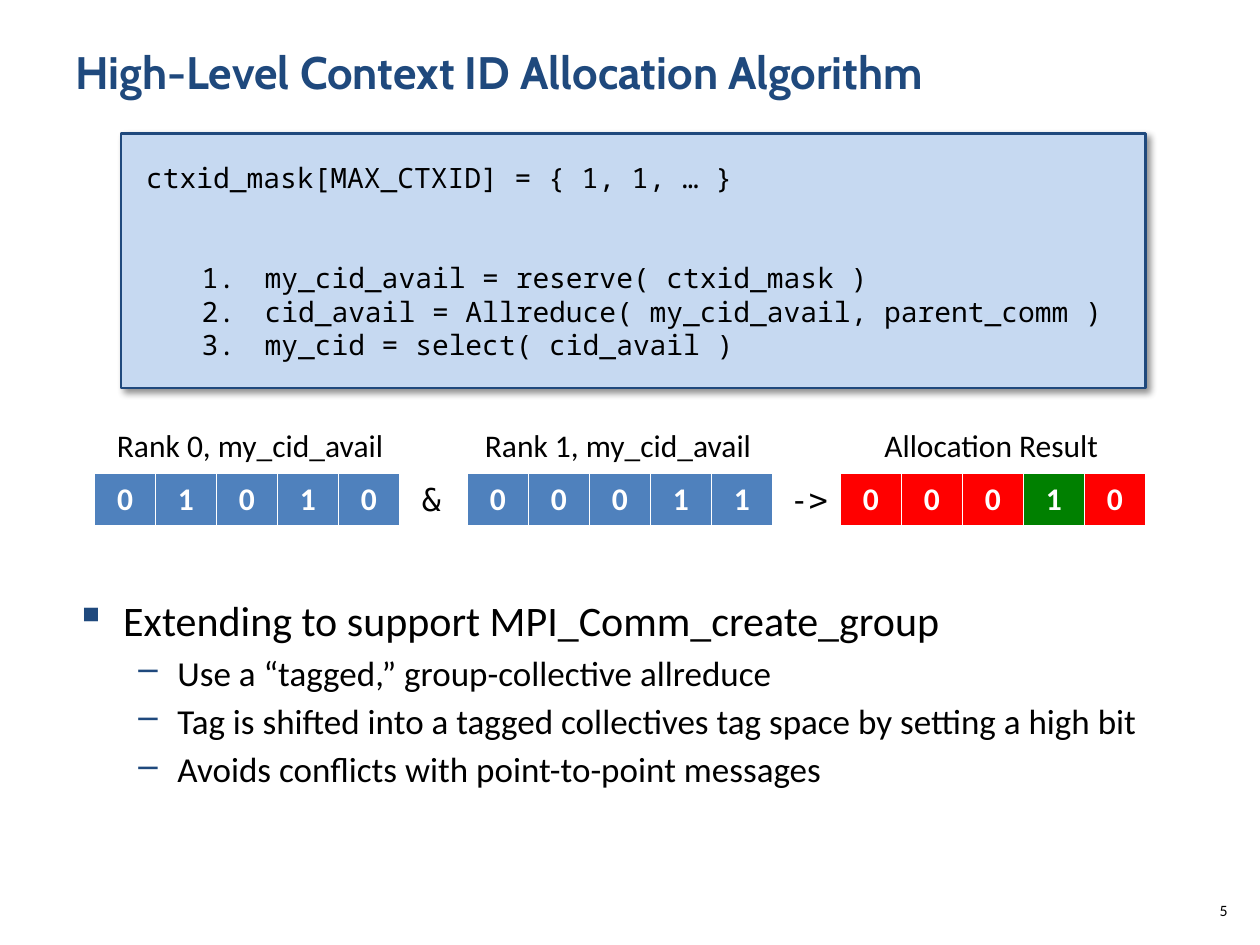
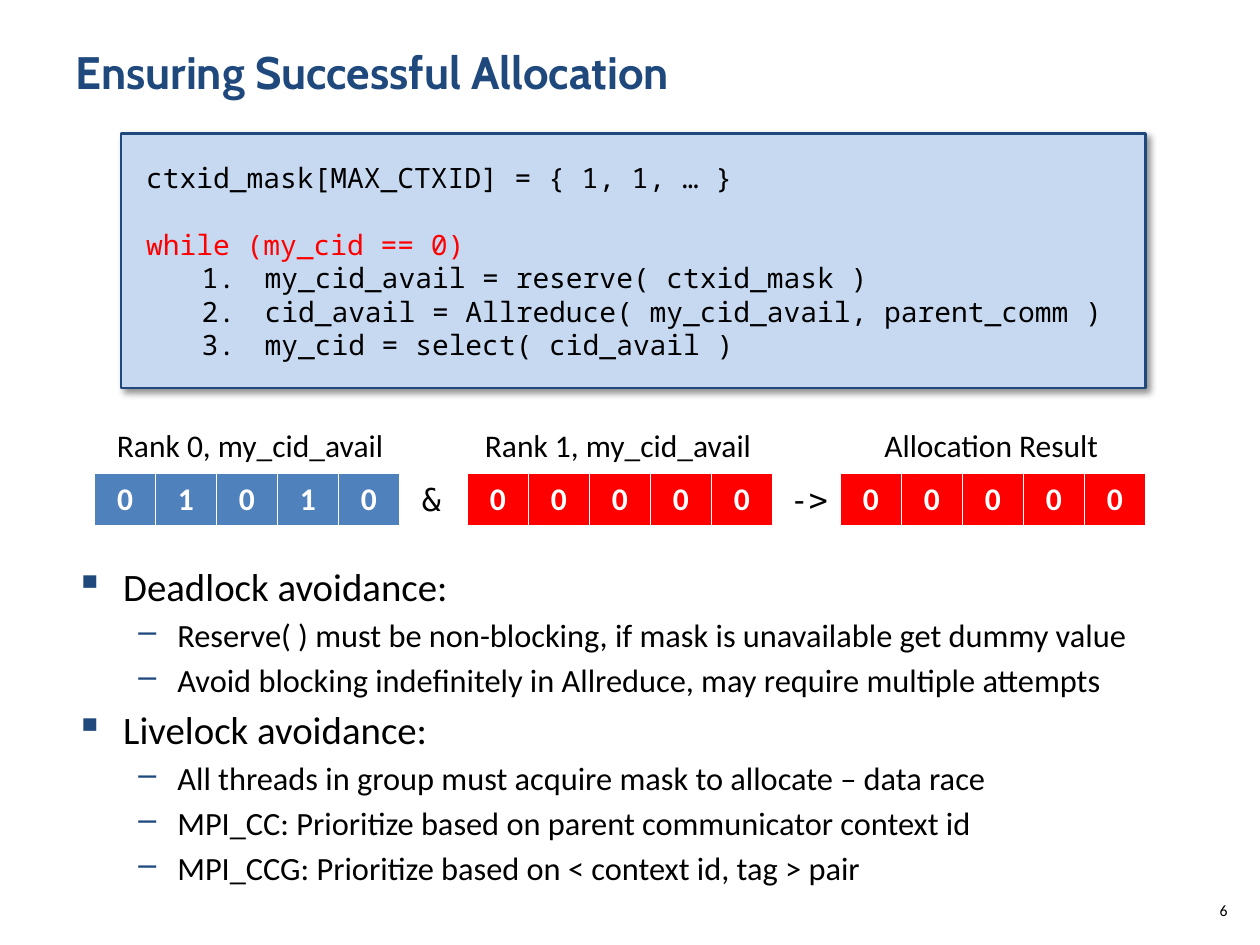
from lxml import etree
from pptx import Presentation, util as u
from pptx.dml.color import RGBColor
from pptx.enum import shapes, text
from pptx.oxml import ns

NAVY, PALE, BLACK, WHITE = "1F497D", "C6D9F1", "000000", "FFFFFF"
BLUE, RED, GREEN = "4F81BD", "FF0000", "008000"
BODY, TITLE, OPERATOR, CODE = "Calibri", "Cabin", "DejaVu Sans Mono", "Noto Sans Mono"
rgb = RGBColor.from_string


def add_text(slide, box, words, size, font=BODY, color=BLACK, wrap=False):
    shape = slide.shapes.add_textbox(*[u.Inches(length) for length in box])
    shape.text_frame.word_wrap = wrap
    paragraph = shape.text_frame.paragraphs[0]
    paragraph.text = words
    style = paragraph.runs[0].font
    style.size, style.name, style.color.rgb = u.Pt(size), font, rgb(color)
    return paragraph


def add_item(text_frame, words, size, font, color, level, margin, indent, space, bullets):
    first = not text_frame.paragraphs[0].runs
    paragraph = text_frame.paragraphs[0] if first else text_frame.add_paragraph()
    paragraph.text = words
    paragraph.level = level
    paragraph.alignment = text.PP_ALIGN.LEFT
    if not first:
        paragraph.space_before = u.Pt(space)
    properties = paragraph._p.get_or_add_pPr()
    properties.set("marL", str(u.Inches(margin)))
    properties.set("indent", str(u.Inches(-indent)))
    for tag, attributes in bullets:
        element = etree.SubElement(properties, ns.qn(tag), attributes)
        if tag == "a:buClr":
            etree.SubElement(element, ns.qn("a:srgbClr"), val=NAVY)
    style = paragraph.runs[0].font
    style.size, style.name, style.color.rgb = u.Pt(size), font, rgb(color)


steps = [
    "my_cid_avail = reserve( ctxid_mask )",
    "cid_avail = Allreduce( my_cid_avail, parent_comm )",
    "my_cid = select( cid_avail )",
]
mask_labels = [
    (0.83, 2.34, "Rank 0, my_cid_avail"),
    (3.75, 2.34, "Rank 1, my_cid_avail"),
    (6.92, 1.92, "Allocation Result"),
]
operators = [(3.25, 0.36, "&"), (6.17, 0.51, "->")]
levels = [("▪", 0.38, 0.38), ("–", 0.81, 0.31)]
code_line = 19

pages = [
    {
        "title": "High-Level Context ID Allocation Algorithm",
        "loop": None,
        "masks": [("01010", [BLUE] * 5), ("00011", [BLUE] * 5),
                  ("00010", [RED, RED, RED, GREEN, RED])],
        "body": (4.67, 2.03),
        "sizes": (24, 20),
        "items": [
            (0, "Extending to support MPI_Comm_create_group"),
            (1, "Use a “tagged,” group-collective allreduce"),
            (1, "Tag is shifted into a tagged collectives tag space by setting a high bit"),
            (1, "Avoids conflicts with point-to-point messages"),
        ],
    },
    {
        "title": "Ensuring Successful Allocation",
        "loop": "while (my_cid == 0)",
        "masks": [("01010", [BLUE] * 5), ("00000", [RED] * 5), ("00000", [RED] * 5)],
        "body": (4.42, 2.75),
        "sizes": (22.2, 18.5),
        "items": [
            (0, "Deadlock avoidance:"),
            (1, "Reserve( ) must be non-blocking, if mask is unavailable get dummy value"),
            (1, "Avoid blocking indefinitely in Allreduce, may require multiple attempts"),
            (0, "Livelock avoidance:"),
            (1, "All threads in group must acquire mask to allocate – data race"),
            (1, "MPI_CC: Prioritize based on parent communicator context id"),
            (1, "MPI_CCG: Prioritize based on < context id, tag > pair"),
        ],
    },
]

presentation = Presentation()
presentation.slide_width, presentation.slide_height = u.Inches(10), u.Inches(7.5)

for number, page in enumerate(pages, start=5):
    slide = presentation.slides.add_slide(presentation.slide_layouts[6])
    title = add_text(slide, (0.5, 0.3, 9, 1.03), page["title"], 26, TITLE, NAVY, True)
    title.runs[0].font.bold = True

    top, height = page["body"]
    body = slide.shapes.add_textbox(u.Inches(0.5), u.Inches(top), u.Inches(9), u.Inches(height))
    body.text_frame.word_wrap = True
    for level, words in page["items"]:
        mark, margin, indent = levels[level]
        size = page["sizes"][level]
        add_item(body.text_frame, words, size, BODY, BLACK, level, margin, indent, size * 0.18,
                 [("a:buClr", {}), ("a:buChar", {"char": mark})])

    page_number = add_text(slide, (9.42, 7.1, 0.42, 0.4), str(number), 9, wrap=True)
    page_number.alignment = text.PP_ALIGN.RIGHT

    code_box = slide.shapes.add_shape(shapes.MSO_SHAPE.RECTANGLE, u.Inches(0.96), u.Inches(1.06),
                                      u.Inches(8.13), u.Inches(2.02))
    code_box.fill.solid()
    code_box.fill.fore_color.rgb = rgb(PALE)
    code_box.line.color.rgb = rgb(NAVY)
    code_box.line.width = u.Pt(1.5)
    code_box.shadow.inherit = False
    effects = code_box._element.spPr.find(ns.qn("a:effectLst"))
    shadow = etree.SubElement(effects, ns.qn("a:outerShdw"), blurRad=str(u.Pt(4)),
                              dist=str(u.Pt(3)), dir="2700000", algn="tl", rotWithShape="0")
    shadow_color = etree.SubElement(shadow, ns.qn("a:srgbClr"), val=BLACK)
    etree.SubElement(shadow_color, ns.qn("a:alpha"), val="43000")

    code = code_box.text_frame
    code.word_wrap = True
    code.vertical_anchor = text.MSO_ANCHOR.MIDDLE
    code.margin_left = code.margin_right = code.margin_top = code.margin_bottom = u.Inches(0.2)
    add_item(code, "ctxid_mask[MAX_CTXID] = { 1, 1, … }", 16, CODE, BLACK, 0, 0.5, 0.5, 0, [])
    if page["loop"]:
        add_item(code, page["loop"], 16, CODE, RED, 0, 0.5, 0.5, code_line, [])
    step_gap = 0 if page["loop"] else 2 * code_line
    for step in steps:
        add_item(code, step, 16, CODE, BLACK, 1, 0.94, 0.5, step_gap,
                 [("a:buAutoNum", {"type": "arabicPeriod"})])
        step_gap = 0

    for index, (bits, fills) in enumerate(page["masks"]):
        frame = slide.shapes.add_table(1, len(bits), u.Inches(0.75 + 2.96 * index),
                                       u.Inches(3.76), u.Inches(2.42), u.Inches(0.41))
        for cell, bit, fill in zip(frame.table.rows[0].cells, bits, fills):
            cell.fill.solid()
            cell.fill.fore_color.rgb = rgb(fill)
            cell.vertical_anchor = text.MSO_ANCHOR.MIDDLE
            paragraph = cell.text_frame.paragraphs[0]
            paragraph.text = bit
            paragraph.alignment = text.PP_ALIGN.CENTER
            style = paragraph.runs[0].font
            style.size, style.name, style.bold = u.Pt(18), BODY, True
            style.color.rgb = rgb(WHITE)

    for left, width, symbol in operators:
        add_text(slide, (left, 3.76, width, 0.4), symbol, 18, OPERATOR)
    for left, width, label in mask_labels:
        add_text(slide, (left, 3.33, width, 0.4), label, 18)

presentation.save("out.pptx")
